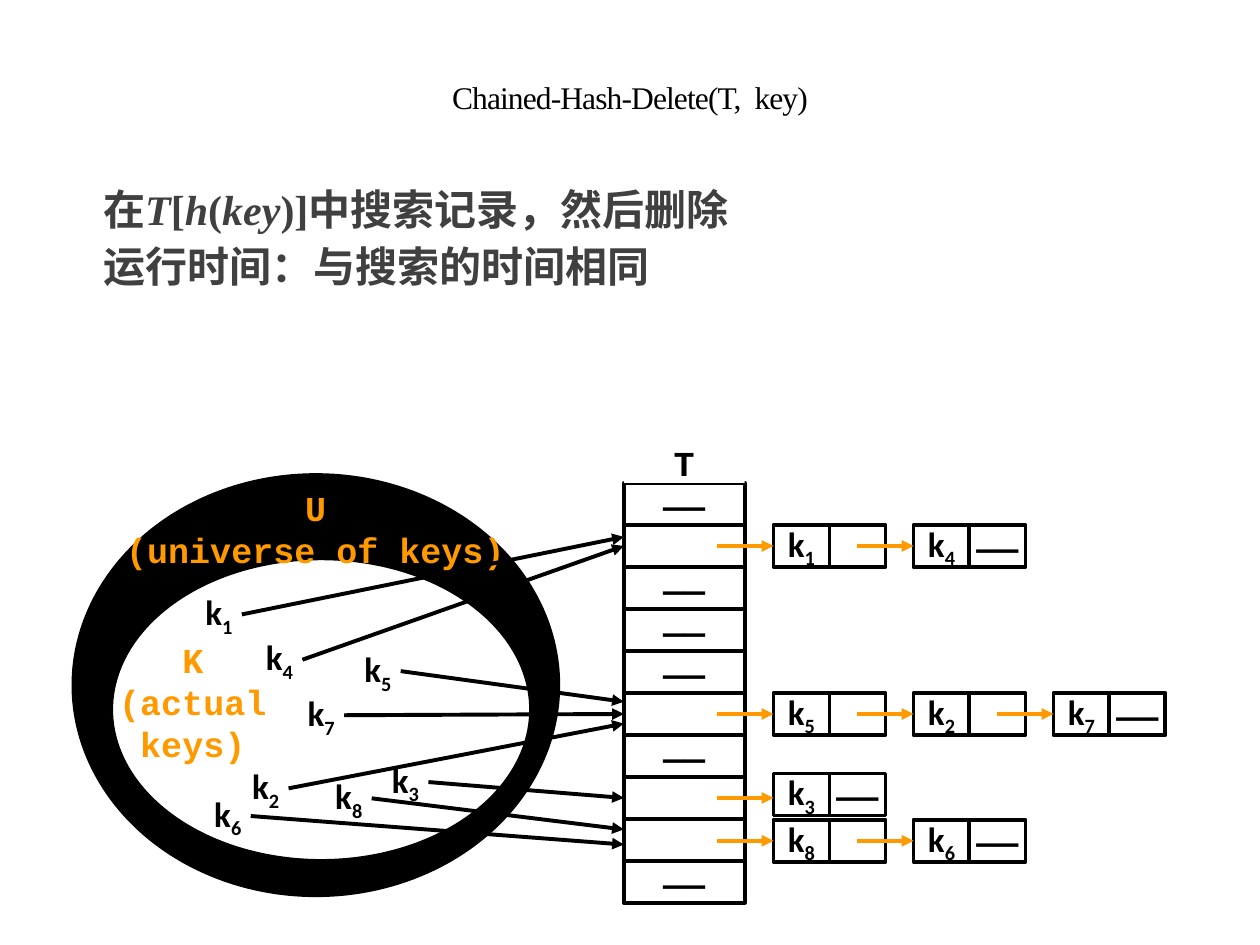
from lxml import etree
from pptx import Presentation
from pptx import util as u
from pptx.dml.color import RGBColor
from pptx.enum import shapes, text
from pptx.oxml import ns

Pt = u.Pt
BLACK = RGBColor(0x00, 0x00, 0x00)
WHITE = RGBColor(0xFF, 0xFF, 0xFF)
ORANGE = RGBColor(0xFF, 0x99, 0x00)
GREY = RGBColor(0x40, 0x40, 0x40)

TITLE_FONT = {"name": "Times New Roman", "size": Pt(18)}
BODY_FONT = {"name": "Times New Roman", "size": Pt(24), "bold": True}
MONO_FONT = {"name": "Courier New", "size": Pt(20), "bold": True}
KEY_FONT = {"name": "Calibri", "size": Pt(20), "bold": True}
NO_INSETS = dict.fromkeys(
    ("margin_left", "margin_top", "margin_right", "margin_bottom"), 0)

LINE_WIDTH = 2.25
ROW_H = 24
NODE_W = 32         # each half of a list node
NODE_STEP = 80      # from one node to the next
ARROW_LEN = 32
KEY_W = 17
ARROW_DX, ARROW_DY = 21.6, 12   # from a key label to the start of its arrow

# Table slot -> top of its chain and the keys in it
CHAINS = {1: (300, (1, 4)), 5: (396, (5, 2, 7)), 7: (442, (3,)), 8: (468.5, (8, 6))}
SLOTS = 10

# Key -> place in the universe, slot, distance of the arrowhead from the slot's middle
KEYS = {
    1: (74.6, 67.6, 1, -5.2),
    4: (109.2, 93.5, 1, 0),
    5: (165.4, 100, 5, -7),
    2: (101.3, 167, 5, 5.5),
    3: (181.2, 163.4, 7, 0),
    6: (79.7, 182.8, 8, 2.6),
    7: (133, 125.2, 5, 0),
    8: (148.8, 172.7, 8, -6),
}


def set_all(obj, values):
    for name, value in values.items():
        setattr(obj, name, value)


def add_run(p, words, font, color, **extra):
    r = p.add_run()
    r.text = words
    set_all(r.font, font | extra)
    r.font.color.rgb = color
    return r


def add_figure(slide, kind, box, fill=WHITE, outlined=True):
    sp = slide.shapes.add_shape(kind, *map(Pt, box))
    sp.shadow.inherit = False
    sp.fill.solid()
    sp.fill.fore_color.rgb = fill
    if outlined:
        sp.line.color.rgb = BLACK
        sp.line.width = Pt(LINE_WIDTH)
    else:
        sp.line.fill.background()
    return sp


def add_label(slide, box, lines=(), color=BLACK):
    """Centred text box; returns its first paragraph."""
    tf = slide.shapes.add_textbox(*map(Pt, box)).text_frame
    set_all(tf, NO_INSETS | {"word_wrap": False,
                             "auto_size": text.MSO_AUTO_SIZE.SHAPE_TO_FIT_TEXT,
                             "vertical_anchor": text.MSO_ANCHOR.MIDDLE})
    p = tf.paragraphs[0]
    p.alignment = text.PP_ALIGN.CENTER
    for i, line in enumerate(lines):
        if i:
            p.add_line_break()
        add_run(p, line, MONO_FONT, color)
    return p


def add_key(slide, x, y, number):
    p = add_label(slide, (x, y, KEY_W, ROW_H))
    add_run(p, "k", KEY_FONT, BLACK)
    r = add_run(p, str(number), KEY_FONT, BLACK)
    r.font._element.set("baseline", "-25000")


def add_nil(slide, x, y, w):
    add_label(slide, (x + (w - ROW_H) / 2, y, ROW_H, ROW_H), ["——"])


def add_arrow(slide, start, end, color=BLACK, target=None):
    c = slide.shapes.add_connector(shapes.MSO_CONNECTOR.STRAIGHT,
                                   *map(Pt, (*start, *end)))
    c.line.color.rgb = color
    c.line.width = Pt(LINE_WIDTH)
    etree.SubElement(c.line._get_or_add_ln(), ns.qn("a:tailEnd"), type="triangle")
    etree.SubElement(c._element.spPr, ns.qn("a:effectLst"))
    if target is not None:
        c.end_connect(target, 1)


def fill_placeholder(sp, box, anchor):
    sp.left, sp.top, sp.width, sp.height = map(Pt, box)
    set_all(sp.text_frame, NO_INSETS | {"word_wrap": True, "vertical_anchor": anchor,
                                        "auto_size": text.MSO_AUTO_SIZE.NONE})
    return sp.text_frame


def title(slide, box):
    tf = fill_placeholder(slide.shapes.title, box, text.MSO_ANCHOR.MIDDLE)
    p = tf.paragraphs[0]
    set_all(p, {"alignment": text.PP_ALIGN.CENTER, "line_spacing": 0.85})
    r = add_run(p, "Chained-Hash-Delete(T,  key)", TITLE_FONT, BLACK)
    r.font._element.set("spc", "-50")


def body(slide, box):
    tf = fill_placeholder(slide.placeholders[1], box, text.MSO_ANCHOR.TOP)
    # Italic and upright pieces alternate, starting upright
    items = [["在", "T", "[", "h", "(", "key", ")]中搜索记录，然后删除"],
             ["运行时间：与搜索的时间相同"]]
    for i, pieces in enumerate(items):
        p = tf.add_paragraph() if i else tf.paragraphs[0]
        pPr = p._p.get_or_add_pPr()
        pPr.set("marL", str(Pt(23)))
        pPr.set("indent", "0")
        etree.SubElement(pPr, ns.qn("a:buNone"))
        set_all(p, {"line_spacing": 0.9, "space_before": Pt(5 if i else 0),
                    "space_after": Pt(2)})
        for n, piece in enumerate(pieces):
            add_run(p, piece, BODY_FONT, GREY, italic=n % 2 == 1)


def universe(slide, box):
    x, y, w, h = box
    add_figure(slide, shapes.MSO_SHAPE.OVAL, box, BLACK)
    add_figure(slide, shapes.MSO_SHAPE.OVAL, (x + 21.5, y + 47.5, w - 37, h - 67))
    for number, (dx, dy, _, _) in KEYS.items():
        add_key(slide, x + dx, y + dy, number)
    add_label(slide, (x + 29.3, y + 6.4, 218, 48), ["U", "(universe of keys)"], ORANGE)
    add_label(slide, (x + 25.7, y + 92.8, 85, 73), ["K", "(actual", "keys)"], ORANGE)


def hash_table(slide, box):
    """Header row and slots; returns the slot rectangles."""
    x, y, w, h = box
    slots = []
    for i in range(SLOTS):
        top = y + ROW_H * (i + 1)
        slots.append(add_figure(slide, shapes.MSO_SHAPE.RECTANGLE, (x, top, w, ROW_H)))
        if i not in CHAINS:
            add_nil(slide, x, top, w)
    add_figure(slide, shapes.MSO_SHAPE.RECTANGLE, (x, y, w, ROW_H), outlined=False)
    add_label(slide, (x + w / 2 - 6, y, 12, ROW_H), ["T"])
    return slots


def key_arrows(slide, box, slots):
    x, y = box[:2]
    for dx, dy, slot, offset in KEYS.values():
        target = slots[slot]
        end = (target.left.pt, target.top.pt + ROW_H / 2 + offset)
        add_arrow(slide, (x + dx + ARROW_DX, y + dy + ARROW_DY), end,
                  target=None if offset else target)


def chain(slide, box, keys, slot):
    """Linked list of nodes, with an arrow into each one."""
    x, y, w, h = box
    heads = []
    for i, number in enumerate(keys):
        left = x + NODE_STEP * i
        head, _ = [add_figure(slide, shapes.MSO_SHAPE.RECTANGLE,
                              (left + NODE_W * half, y, NODE_W, h)) for half in (0, 1)]
        heads.append(head)
        add_key(slide, left + (NODE_W - KEY_W) / 2, y, number)
    add_nil(slide, left + NODE_W, y, NODE_W)
    middle, slot_middle = y + h / 2, slot.top.pt + h / 2
    joined = abs(middle - slot_middle) < 1
    arrow_y = middle if joined else slot_middle
    for i, head in enumerate(heads):
        end = x + NODE_STEP * i
        add_arrow(slide, (end - ARROW_LEN, arrow_y), (end, arrow_y), ORANGE,
                  head if joined else None)


def main():
    prs = Presentation()
    prs.slide_width, prs.slide_height = Pt(720), Pt(540)
    slide = prs.slides.add_slide(prs.slide_layouts[1])
    title(slide, (54, 24, 612, 66))
    body(slide, (36, 108, 642, 360))
    universe_box = (42, 271.5, 277, 240)
    universe(slide, universe_box)
    slots = hash_table(slide, (356.5, 252, 69, ROW_H * (SLOTS + 1)))
    key_arrows(slide, universe_box, slots)
    for slot, (top, keys) in CHAINS.items():
        chain(slide, (442, top, NODE_STEP * len(keys), ROW_H), keys, slots[slot])
    prs.save("out.pptx")


if __name__ == "__main__":
    main()
